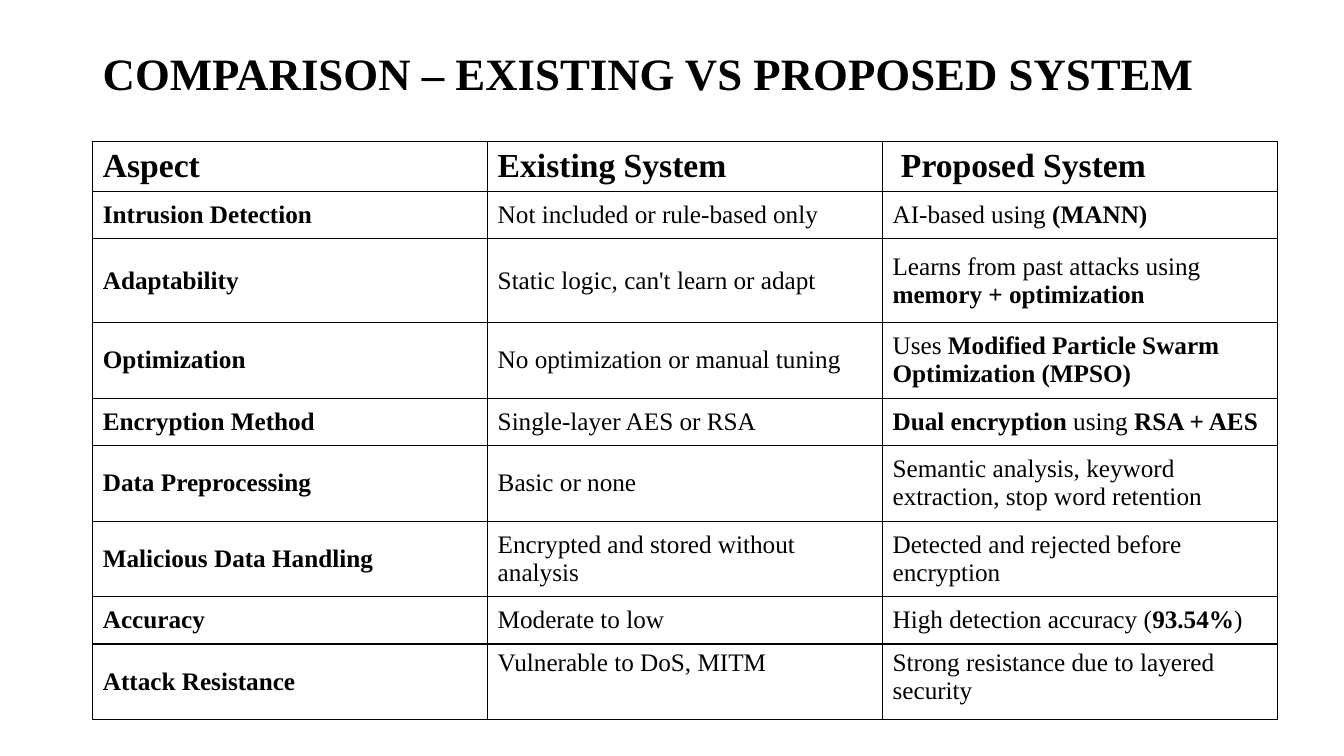
from lxml.etree import SubElement
from pptx import Presentation
from pptx.dml.color import RGBColor
from pptx.enum.text import MSO_ANCHOR
from pptx.oxml.ns import qn
from pptx.util import Inches, Pt

BLACK = "000000"


def add_run(paragraph, text, size, bold):
    run = paragraph.add_run()
    run.text = text
    run.font.name = "Times New Roman"
    run.font.size = Pt(size)
    run.font.bold = bold
    run.font.color.rgb = RGBColor.from_string(BLACK)


def add_borders(cell):
    properties = cell._tc.get_or_add_tcPr()
    for side in ("lnL", "lnR", "lnT", "lnB"):
        line = SubElement(properties, qn(f"a:{side}"), w=str(Pt(1)))
        fill = SubElement(line, qn("a:solidFill"))
        SubElement(fill, qn("a:srgbClr"), val=BLACK)


presentation = Presentation()
presentation.slide_width = Inches(13.33)
presentation.slide_height = Inches(7.5)
slide = presentation.slides.add_slide(presentation.slide_layouts[6])

title = slide.shapes.add_textbox(Inches(0.92), Inches(0.4), Inches(11.5), Inches(0.71))
title.text_frame.word_wrap = True
title.text_frame.vertical_anchor = MSO_ANCHOR.MIDDLE
title_paragraph = title.text_frame.paragraphs[0]
title_paragraph.line_spacing = 0.9
add_run(title_paragraph, "COMPARISON – EXISTING VS PROPOSED SYSTEM", 32, True)

# Text between ** marks is bold
comparison = [
    (0.45, "**Aspect**", "**Existing System**", "** Proposed System**"),
    (0.47, "**Intrusion Detection**", "Not included or rule-based only",
     "AI-based using **(MANN)**"),
    (0.83, "**Adaptability**", "Static logic, can't learn or adapt",
     "Learns from past attacks using **memory + optimization**"),
    (0.75, "**Optimization**", "No optimization or manual tuning",
     "Uses **Modified Particle Swarm Optimization (MPSO)**"),
    (0.47, "**Encryption Method**", "Single-layer AES or RSA",
     "**Dual encryption** using **RSA + AES**"),
    (0.75, "**Data Preprocessing**", "Basic or none",
     "Semantic analysis, keyword extraction, stop word retention"),
    (0.75, "**Malicious Data Handling**", "Encrypted and stored without analysis",
     "Detected and rejected before encryption"),
    (0.47, "**Accuracy**", "Moderate to low",
     "High detection accuracy (**93.54%**)"),
    (0.75, "**Attack Resistance**", "Vulnerable to DoS, MITM",
     "Strong resistance due to layered security"),
]
last_row = len(comparison) - 1

table = slide.shapes.add_table(
    len(comparison), 3, Inches(0.92), Inches(1.4), Inches(11.75), Inches(5.69)
).table
table.first_row = False
table.horz_banding = False
for column in table.columns:
    column.width = Inches(11.75 / 3)

for row_index, (height, *texts) in enumerate(comparison):
    table.rows[row_index].height = Inches(height)
    size = 24 if row_index == 0 else 18
    for column_index, text in enumerate(texts):
        cell = table.cell(row_index, column_index)
        add_borders(cell)
        cell.fill.background()
        top_aligned = row_index == last_row and column_index > 0
        cell.vertical_anchor = MSO_ANCHOR.TOP if top_aligned else MSO_ANCHOR.MIDDLE
        for part_index, part in enumerate(text.split("**")):
            if part:
                add_run(cell.text_frame.paragraphs[0], part, size, part_index % 2 == 1)

presentation.save("out.pptx")
